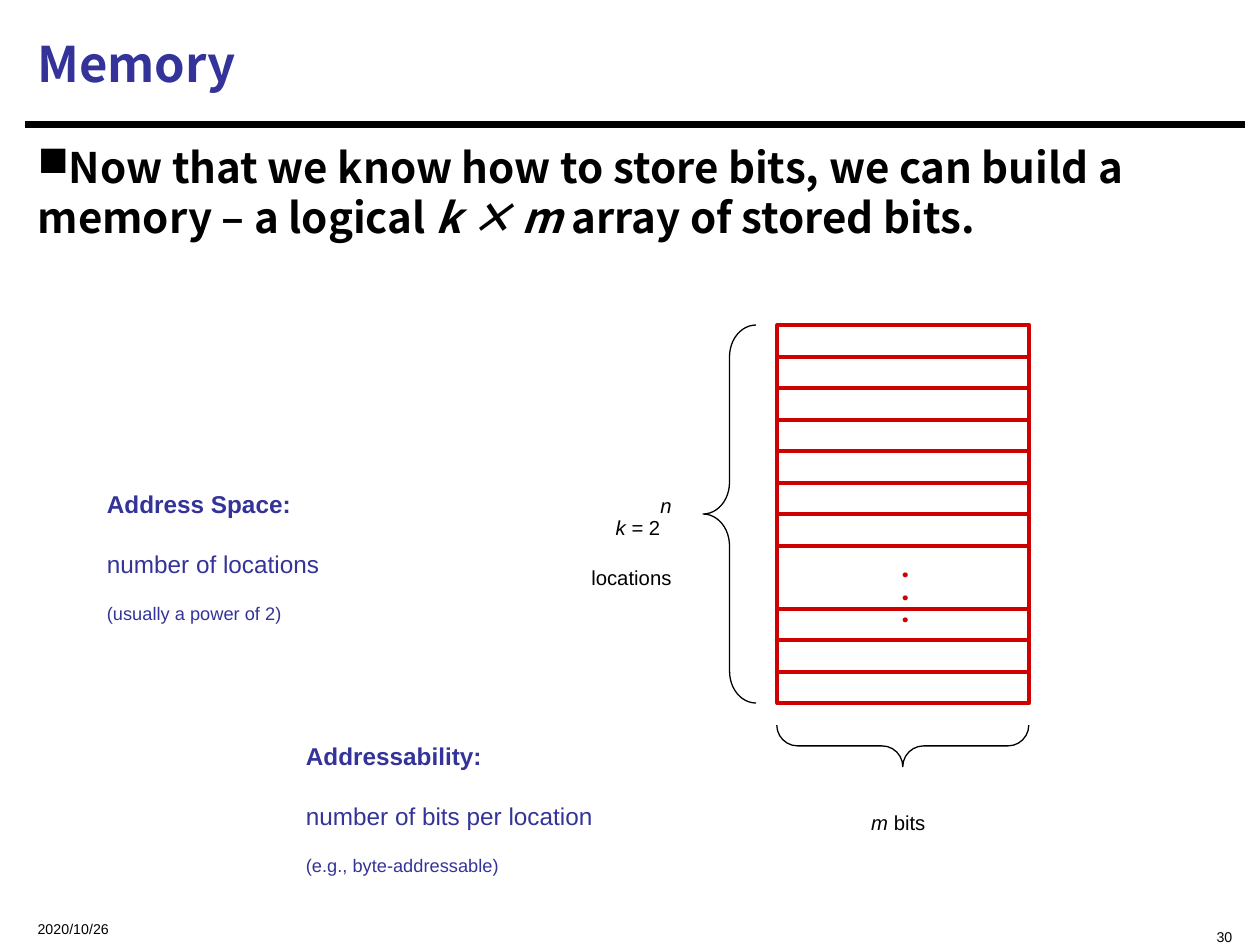
from dataclasses import dataclass

from lxml.etree import SubElement
from pptx import Presentation
from pptx.dml.color import RGBColor as RGB
from pptx.enum.shapes import MSO_CONNECTOR as CONN, MSO_SHAPE as SHAPE
from pptx.enum.text import MSO_ANCHOR as ANCHOR, MSO_AUTO_SIZE as FIT, PP_ALIGN as ALIGN
from pptx.oxml.ns import qn
from pptx.util import Inches, Pt


@dataclass(frozen=True)
class Theme:
    ink: RGB = RGB(0, 0, 0)
    blue: RGB = RGB(0x33, 0x33, 0x99)
    red: RGB = RGB(0xCE, 0, 0)
    heading_font: str = "Noto Sans CJK SC"
    label_font: str = "Arial"
    dot_font: str = "Karla"
    title: int = 28
    body: int = 24
    term: int = 24
    label: int = 20
    small: int = 18
    footer: int = 14
    lowered: int = -33
    raised: int = 30


class Deck:
    """Draws styled elements on the current slide."""

    def __init__(self, theme):
        self.t = theme
        self.prs = Presentation()
        self.prs.slide_width, self.prs.slide_height = Inches(10), Inches(7.5)
        self.s = self.prs.slides.add_slide(self.prs.slide_layouts[6])

    def text(self, box, paras, size, font=None, color=None, align=ALIGN.LEFT,
             anchor=ANCHOR.TOP, grow=False, base=0, spacing=None, parent=None):
        shapes = (parent or self.s).shapes
        sp = shapes.add_textbox(*map(Inches, box))
        tf = sp.text_frame
        tf.word_wrap = not grow
        tf.auto_size = FIT.SHAPE_TO_FIT_TEXT if grow else FIT.NONE
        tf.vertical_anchor = anchor
        for i, runs in enumerate(paras):
            p = tf.add_paragraph() if i else tf.paragraphs[0]
            p.alignment = align
            if spacing:
                p.line_spacing = spacing
            for run in runs:
                self.run(p, run, size, font or self.t.label_font, color or self.t.ink, base)
        return tf

    def run(self, p, run, size, font, color, base):
        words, style = run
        if style.get("new_line"):
            p.add_line_break()
        r = p.add_run()
        r.text = words
        f = r.font
        f.name, f.size = font, Pt(style.get("size", size))
        f.bold, f.italic = style.get("bold", False), style.get("italic", False)
        f.color.rgb = color
        rpr = r._r.get_or_add_rPr()
        SubElement(rpr, qn("a:ea")).set("typeface", font)
        shift = style.get("base", base)
        if shift:
            rpr.set("baseline", str(shift * 1000))

    def bullet(self, p, char):
        SubElement(p._p.get_or_add_pPr(), qn("a:buChar")).set("char", char)

    def line(self, x1, x2, y, color, width, parent=None):
        shapes = (parent or self.s).shapes
        c = shapes.add_connector(CONN.STRAIGHT, *map(Inches, (x1, y, x2, y)))
        c.line.color.rgb, c.line.width = color, Pt(width)
        SubElement(c._element.spPr, qn("a:effectLst"))

    def outline(self, kind, box, color, width, adjust=(), rotation=0, parent=None):
        sp = (parent or self.s).shapes.add_shape(kind, *map(Inches, box))
        sp.shadow.inherit = False
        sp.fill.background()
        sp.line.color.rgb, sp.line.width = color, Pt(width)
        for i, value in enumerate(adjust):
            sp.adjustments[i] = value
        sp.rotation = rotation

    def memory(self, left, top, width, row, rows, gap_row):
        t, grp = self.t, self.s.shapes.add_group_shape()
        self.outline(SHAPE.RECTANGLE, (left, top, width, row * rows), t.red, 2.25, parent=grp)
        for i in range(1, rows):
            if i != gap_row:
                self.line(left, left + width, top + i * row, t.red, 2.25, parent=grp)
        self.text((7, 4.33, 0.37, 0.55), [[("•", {"bold": True})]] * 3, t.small, t.dot_font,
                  t.red, ALIGN.CENTER, grow=True, base=t.lowered, spacing=0.5, parent=grp)

    def label(self, box, paras, align):
        self.text(box, paras, self.t.label, align=align, grow=True, base=self.t.lowered)

    def definition(self, box, term, meaning, example):
        t = self.t
        paras = [[(term, {"bold": True})],
                 [(meaning, {}), (example, {"size": t.small, "new_line": True})]]
        self.text(box, paras, t.term, color=t.blue, grow=True, base=t.lowered)


def main():
    t = Theme()
    d = Deck(t)
    bold, italic = {"bold": True}, {"italic": True}

    d.line(0.2, 9.88, 0.99, t.ink, 3.75)
    d.text((0.2, 7.17, 2.5, 0.25), [[("2020/10/26", {})]], t.footer,
           anchor=ANCHOR.MIDDLE, base=t.lowered)
    d.text((6.88, 7.17, 3, 0.25), [[("30", {})]], t.footer, align=ALIGN.RIGHT, base=t.lowered)
    d.text((0.2, 0.08, 9.67, 0.84), [[("Memory", bold)]], t.title, t.heading_font, t.blue,
           anchor=ANCHOR.MIDDLE)
    tf = d.text((0.2, 1.07, 9.67, 5.99), [[
        ("Now that we know how to store bits, we can build a memory – a logical ", bold),
        ("k × m", {**bold, **italic}),
        (" array of stored bits.", bold)]], t.body, t.heading_font)
    d.bullet(tf.paragraphs[0], "■")

    d.memory(6.17, 2.58, 2, 0.25, 12, 8)
    d.outline(SHAPE.LEFT_BRACE, (5.58, 2.58, 0.42, 3), t.ink, 0.75, (0.6, 0.5))
    d.outline(SHAPE.RIGHT_BRACE, (7, 4.92, 0.33, 2), t.ink, 0.75, (0.5, 0.5), 90)
    d.label((4.13, 3.83, 1.3, 0.77), [
        [("k", italic), (" = 2", {}), ("n", {**italic, "base": t.raised})],
        [("locations", {})]], ALIGN.RIGHT)
    d.label((6.66, 6.17, 0.94, 0.43), [[("m", italic), (" bits", {})]], ALIGN.CENTER)
    d.definition((0.75, 3.58, 3.11, 1.2), "Address Space:", "number of locations",
                 "(usually a power of 2)")
    d.definition((2.33, 5.58, 4.13, 1.2), "Addressability:", "number of bits per location",
                 "(e.g., byte-addressable)")
    d.prs.save("out.pptx")


if __name__ == "__main__":
    main()
